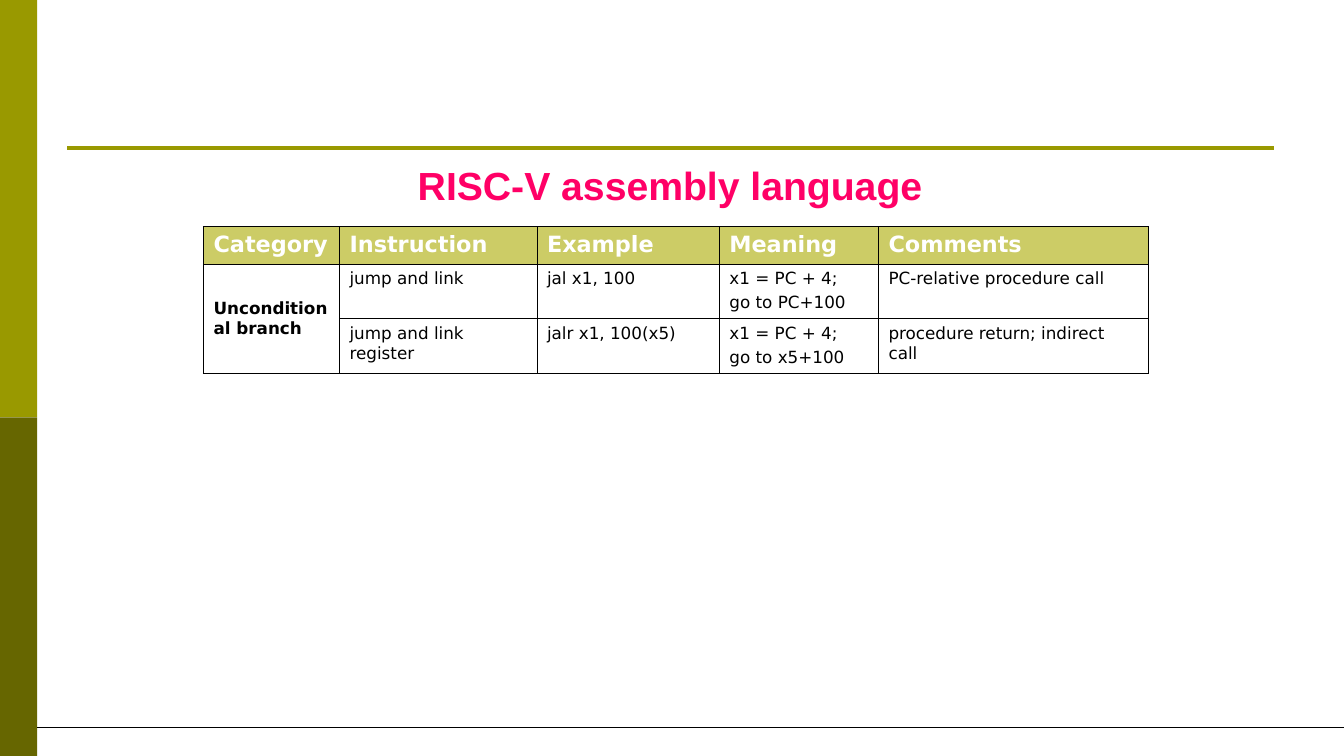
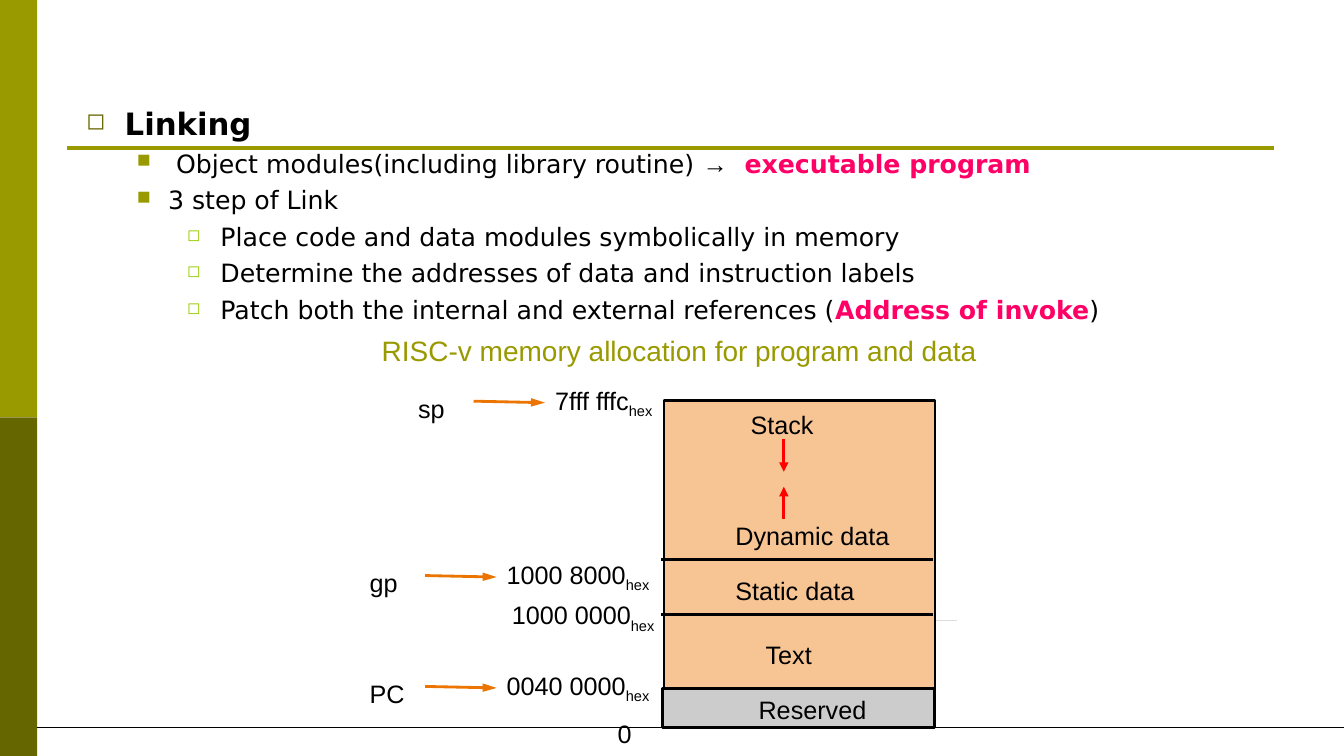
from dataclasses import dataclass

from lxml import etree
from pptx import Presentation
from pptx.dml.color import RGBColor
from pptx.enum.shapes import MSO_CONNECTOR, MSO_SHAPE
from pptx.enum.text import MSO_ANCHOR, PP_ALIGN
from pptx.oxml.ns import qn
from pptx.util import Inches, Pt

STRAIGHT = MSO_CONNECTOR.STRAIGHT
RECTANGLE = MSO_SHAPE.RECTANGLE
CENTER = PP_ALIGN.CENTER
MIDDLE, TOP = MSO_ANCHOR.MIDDLE, MSO_ANCHOR.TOP

COLORS = {
    "olive": "999900", "dark_olive": "666600", "lime": "99CC00",
    "header": "CCCC66", "pink": "FF0066", "red": "FF0000",
    "orange": "EB7500", "peach": "F7C594", "gray": "CCCCCC",
    "hairline": "DDDDDD", "black": "000000", "white": "FFFFFF",
}
SANS, BODY = "Arial", "DejaVu Sans"
BLANK_LAYOUT = 6

# The grid has square cells of a tenth of an inch
CELL = 0.1
COLUMNS, ROWS = 133.4, 75


@dataclass
class Span:
    text: str
    size: float = 18
    color: str = "black"
    bold: bool = False
    font: str = SANS
    subscript: bool = False
    spacing: float = 0


@dataclass
class Bullet:
    sign: str
    color: str
    percent: int
    margin: float
    hanging: float


@dataclass
class Item:
    bullet: Bullet
    spans: list[Span]


@dataclass
class Label:
    text: str
    column: float
    row: float
    width: float


@dataclass
class Pointer:
    register: str
    column: float
    row: float
    address: str


def grid(cells: float) -> int:
    return Inches(cells * CELL)


def rgb(name: str) -> RGBColor:
    return RGBColor.from_string(COLORS[name])


def add_spans(para, spans: list[Span]) -> None:
    for span in spans:
        run = para.add_run()
        run.text = span.text
        run.font.size = Pt(span.size)
        run.font.name = span.font
        run.font.bold = span.bold
        run.font.color.rgb = rgb(span.color)
        properties = run._r.get_or_add_rPr()
        if span.subscript:
            properties.set("baseline", "-25000")
        if span.spacing:
            properties.set("spc", str(round(span.spacing * 100)))


def add_text(page, column: float, row: float, width: float, height: float,
             spans: list[Span], wrap: bool = False, inset: bool = False, align=None):
    box = page.shapes.add_textbox(grid(column), grid(row), grid(width), grid(height))
    frame = box.text_frame
    frame.word_wrap = wrap
    if not inset:
        frame.margin_left = frame.margin_right = 0
        frame.margin_top = frame.margin_bottom = 0
    para = frame.paragraphs[0]
    para.alignment = align
    add_spans(para, spans)
    return frame


def add_block(page, column: float, row: float, width: float, height: float,
              fill: str, outline: float = 0) -> None:
    block = page.shapes.add_shape(
        RECTANGLE, grid(column), grid(row), grid(width), grid(height))
    block.shadow.inherit = False
    block.fill.solid()
    block.fill.fore_color.rgb = rgb(fill)
    if outline:
        block.line.color.rgb = rgb("black")
        block.line.width = Pt(outline)
    else:
        block.line.fill.background()


def add_line(page, start: tuple[float, float], end: tuple[float, float],
             color: str, weight: float, head_length: str = "") -> None:
    line = page.shapes.add_connector(STRAIGHT, *map(grid, start + end))
    line.line.color.rgb = rgb(color)
    line.line.width = Pt(weight)
    if head_length:
        etree.SubElement(line.line._get_or_add_ln(), qn("a:tailEnd"),
                         type="triangle", w="med", len=head_length)
    etree.SubElement(line._element.spPr, qn("a:effectLst"))


def add_page(deck):
    """Add a page with the shared side bands and rules."""
    page = deck.slides.add_slide(deck.slide_layouts[BLANK_LAYOUT])
    add_block(page, 0, 0, 3.7, 41.4, "olive")
    add_block(page, 0, 41.4, 3.7, ROWS - 41.4, "dark_olive")
    add_line(page, (6.7, 14.7), (126.5, 14.7), "olive", 3)
    add_line(page, (3.7, 72.2), (COLUMNS, 72.2), "black", 0.75)
    return page


# Instruction table
TABLE_WIDTHS = [13.5, 19.6, 18.1, 15.8, 26.8]
TABLE_HEIGHTS = [3.7, 5.4, 5.4]
TABLE_ROWS = [
    ["Category", "Instruction", "Example", "Meaning", "Comments"],
    ["Unconditional branch", "jump and link", "jal x1, 100",
     "x1 = PC + 4;\ngo to PC+100", "PC-relative procedure call"],
    ["", "jump and link register", "jalr x1, 100(x5)",
     "x1 = PC + 4;\ngo to x5+100", "procedure return; indirect call"],
]


def set_borders(cell, weights: dict[str, float]) -> None:
    properties = cell._tc.get_or_add_tcPr()
    for place, (side, weight) in enumerate(weights.items()):
        border = etree.Element(qn(f"a:ln{side}"), w=str(Pt(weight)))
        fill = etree.SubElement(border, qn("a:solidFill"))
        etree.SubElement(fill, qn("a:srgbClr"), val=COLORS["black"])
        properties.insert(place, border)


def fill_cell(cell, text: str, row: int, column: int) -> None:
    is_header = row == 0
    if is_header:
        cell.fill.solid()
        cell.fill.fore_color.rgb = rgb("header")
    else:
        cell.fill.background()
    cell.vertical_anchor = MIDDLE if column == 0 and not is_header else TOP
    thin, thick = 0.45, 1.08
    set_borders(cell, {
        "L": thick if column == 0 else thin,
        "R": thick if column == len(TABLE_WIDTHS) - 1 else thin,
        "T": thick if is_header else thin,
        "B": thin,
    })
    if not text:
        return
    frame = cell.text_frame
    for number, words in enumerate(text.split("\n")):
        para = frame.add_paragraph() if number else frame.paragraphs[0]
        if number:
            para.space_before = Pt(3)
        add_spans(para, [Span(words, 16 if is_header else 12,
                              "white" if is_header else "black",
                              is_header or column == 0, BODY)])


def build_instruction_page(deck) -> None:
    page = add_page(deck)
    add_text(page, 37, 15.5, 59, 5.7,
             [Span("RISC-V assembly language", 28, "pink", True)],
             wrap=True, inset=True, align=CENTER)
    table = page.shapes.add_table(
        len(TABLE_HEIGHTS), len(TABLE_WIDTHS), grid(20.2), grid(22.5),
        grid(sum(TABLE_WIDTHS)), grid(sum(TABLE_HEIGHTS))).table
    table.first_row = table.horz_banding = False
    for column, width in zip(table.columns, TABLE_WIDTHS):
        column.width = grid(width)
    for row, height in zip(table.rows, TABLE_HEIGHTS):
        row.height = grid(height)
    table.cell(1, 0).merge(table.cell(2, 0))
    for row, texts in enumerate(TABLE_ROWS):
        for column, text in enumerate(texts):
            fill_cell(table.cell(row, column), text, row, column)


# Linking outline
TOPIC = Bullet("◻", "dark_olive", 75, 3.8, 3.8)
POINT = Bullet("■", "olive", 75, 8.1, 3.1)
WIDE_POINT = Bullet("■", "olive", 75, 8.9, 3.9)
STEP = Bullet("◻", "lime", 65, 13.3, 3.3)
OUTLINE = [
    Item(TOPIC, [Span("Linking", 22, bold=True, font=BODY)]),
    Item(WIDE_POINT, [
        Span("Object modules(including library routine) ", font=BODY),
        Span("→"),
        Span(" ", spacing=7),
        Span("executable program", color="pink", bold=True, font=BODY)]),
    Item(POINT, [Span("3 step of Link", font=BODY)]),
    Item(STEP, [Span("Place code and data modules symbolically in memory", font=BODY)]),
    Item(STEP, [Span("Determine the addresses of data and instruction labels", font=BODY)]),
    Item(STEP, [
        Span("Patch both the internal and external references (", font=BODY),
        Span("Address of invoke", color="pink", bold=True, font=BODY),
        Span(")", font=BODY)]),
]


def set_bullet(para, bullet: Bullet) -> None:
    properties = para._p.get_or_add_pPr()
    properties.set("marL", str(grid(bullet.margin)))
    properties.set("indent", str(-grid(bullet.hanging)))
    color = etree.SubElement(properties, qn("a:buClr"))
    etree.SubElement(color, qn("a:srgbClr"), val=COLORS[bullet.color])
    etree.SubElement(properties, qn("a:buSzPct"), val=str(bullet.percent * 1000))
    etree.SubElement(properties, qn("a:buChar"), char=bullet.sign)


def add_outline(page) -> None:
    frame = add_text(page, 7.6, 9.9, 109.1, 26, [], wrap=True, inset=True)
    for number, item in enumerate(OUTLINE):
        para = frame.add_paragraph() if number else frame.paragraphs[0]
        set_bullet(para, item.bullet)
        if number:
            para.space_before = Pt(4.5)
        add_spans(para, item.spans)


# Memory map
LABELS = [
    Label("Stack", 74.5, 40.6, 7), Label("Dynamic data", 73, 51.6, 17),
    Label("Static data", 73, 57.1, 14), Label("Text", 76, 63.4, 6),
    Label("Reserved", 75.3, 68.9, 12), Label("0", 61.3, 71.3, 2),
]
POINTERS = [
    Pointer("sp", 41.5, 39, "7fff fffc"),
    Pointer("gp", 36.7, 56.3, "1000 8000"),
    Pointer("PC", 36.7, 67.3, "0040 0000"),
]


def add_address(page, column: float, row: float, digits: str) -> None:
    add_text(page, column, row, 15, 3.4,
             [Span(digits), Span("hex", subscript=True)], wrap=True)


def add_memory_map(page) -> None:
    add_line(page, (68, 61.5), (95, 61.5), "hairline", 0.5)
    add_block(page, 65.9, 39.7, 26.9, 32.4, "peach", 2)
    for row in (55.5, 61):
        add_line(page, (65.6, row), (92.6, row), "black", 2)
    add_block(page, 65.8, 68.3, 27, 3.9, "gray", 2)
    for label in LABELS:
        add_text(page, label.column, label.row, label.width, 3,
                 [Span(label.text)], wrap=True)
    for pointer in POINTERS:
        column, row = pointer.column, pointer.row
        add_text(page, column, row, 5, 3, [Span(pointer.register)], wrap=True)
        add_line(page, (column + 5.5, row + 0.8), (column + 12.6, row + 0.95),
                 "orange", 2, "lg")
        add_address(page, column + 13.6, row - 0.8, pointer.address)
    add_address(page, 50.8, 59.5, "1000 0000")
    # Stack and heap grow towards each other
    for start, end in ((43.6, 46.8), (51.5, 48.3)):
        add_line(page, (77.8, start), (77.8, end), "red", 2.25, "med")


def build_linking_page(deck) -> None:
    page = add_page(deck)
    add_outline(page)
    add_memory_map(page)
    add_text(page, 36.9, 32.6, 63, 4.4,
             [Span("RISC-v memory allocation for program and data", 20, "olive")],
             wrap=True, inset=True)


def main() -> None:
    deck = Presentation()
    deck.slide_width, deck.slide_height = grid(COLUMNS), grid(ROWS)
    build_instruction_page(deck)
    build_linking_page(deck)
    deck.save("out.pptx")


if __name__ == "__main__":
    main()
